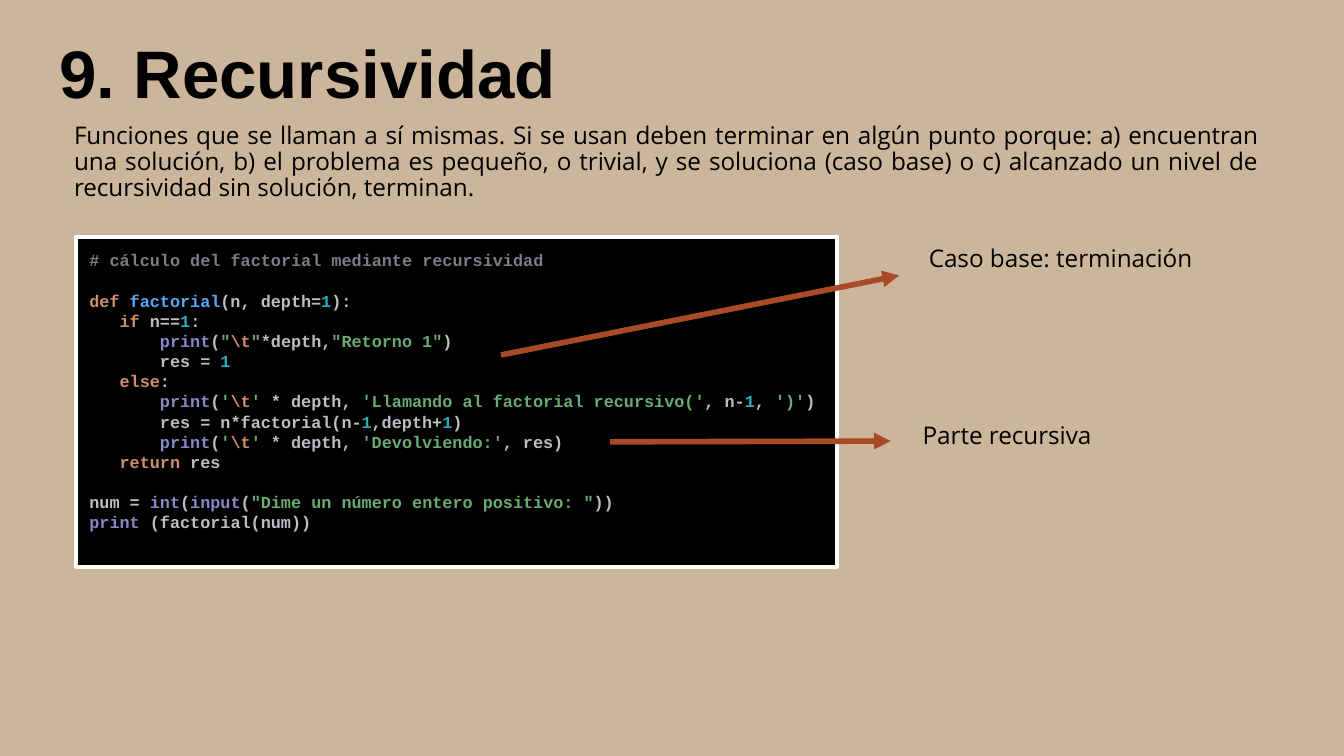
from lxml import etree
from pptx import Presentation
from pptx.dml.color import RGBColor
from pptx.enum.shapes import MSO_CONNECTOR, MSO_SHAPE
from pptx.enum.text import MSO_ANCHOR, MSO_AUTO_SIZE, PP_ALIGN
from pptx.oxml.ns import qn
from pptx.util import Pt

LEFT, JUSTIFY = PP_ALIGN.LEFT, PP_ALIGN.JUSTIFY
TOP, MIDDLE, BOTTOM = MSO_ANCHOR.TOP, MSO_ANCHOR.MIDDLE, MSO_ANCHOR.BOTTOM
NO_AUTOFIT = MSO_AUTO_SIZE.NONE
RECTANGLE = MSO_SHAPE.RECTANGLE
STRAIGHT = MSO_CONNECTOR.STRAIGHT

BLACK, WHITE = "000000", "FFFFFF"
BACKGROUND, ARROW = "CCB69B", "AA4926"
INSET = 7.2
CODE_LINE = 10.8

# Syntax colours
COMMENT, PLAIN, KEYWORD = "7A7E85", "BCBEC4", "CF8E6D"
FUNCTION, BUILTIN, NUMBER, STRING = "56A8F5", "8888C6", "2AACB8", "6AAB73"

PRINT_TABBED = [("       ", PLAIN), ("print", BUILTIN), ("(", PLAIN), ("'", STRING),
                ("\\t", KEYWORD), ("' ", STRING), ("* depth, ", PLAIN)]

# Groups of code lines; a line's height separates the groups
CODE = [
    [
        [("# cálculo del factorial mediante recursividad", COMMENT)],
    ],
    [
        [("def ", KEYWORD), ("factorial", FUNCTION), ("(n, depth=", PLAIN),
         ("1", NUMBER), ("):", PLAIN)],
        [("   ", PLAIN), ("if ", KEYWORD), ("n==", PLAIN), ("1", NUMBER), (":", PLAIN)],
        [("       ", PLAIN), ("print", BUILTIN), ("(", PLAIN), ('"', STRING),
         ("\\t", KEYWORD), ('"', STRING), ("*depth,", PLAIN),
         ('"Retorno 1"', STRING), (")", PLAIN)],
        [("       res = ", PLAIN), ("1", NUMBER)],
        [("   ", PLAIN), ("else", KEYWORD), (":", PLAIN)],
        PRINT_TABBED + [("'Llamando al factorial recursivo('", STRING), (", n-", PLAIN),
                        ("1", NUMBER), (", ", PLAIN), ("')'", STRING), (")", PLAIN)],
        [("       res = n*factorial(n-", PLAIN), ("1", NUMBER), (",depth+", PLAIN),
         ("1", NUMBER), (")", PLAIN)],
        PRINT_TABBED + [("'Devolviendo:'", STRING), (", res)", PLAIN)],
        [("   ", PLAIN), ("return ", KEYWORD), ("res", PLAIN)],
    ],
    [
        [("num = ", PLAIN), ("int", BUILTIN), ("(", PLAIN), ("input", BUILTIN),
         ("(", PLAIN), ('"Dime un número entero positivo: "', STRING), ("))", PLAIN)],
        [("print ", BUILTIN), ("(factorial(num))", PLAIN)],
    ],
]

DEFINITION = (
    "Funciones que se llaman a sí mismas. Si se usan deben terminar en algún punto "
    "porque: a) encuentran una solución, b) el problema es pequeño, o trivial, y se "
    "soluciona (caso base) o c) alcanzado un nivel de recursividad sin solución, terminan."
)


def color(value):
    return RGBColor.from_string(value)


def set_frame(shape, anchor, top=INSET, bottom=INSET):
    frame = shape.text_frame
    frame.word_wrap = True
    frame.auto_size = NO_AUTOFIT
    frame.vertical_anchor = anchor
    frame.margin_left = frame.margin_right = Pt(INSET)
    frame.margin_top, frame.margin_bottom = Pt(top), Pt(bottom)
    return frame


def write(paragraph, text, font, size, fill=BLACK, bold=False, align=LEFT, spacing=1.0):
    paragraph.alignment = align
    paragraph.line_spacing = spacing
    run = paragraph.add_run()
    run.text = text
    run.font.name = font
    run.font.size = Pt(size)
    run.font.bold = bold
    run.font.color.rgb = color(fill)


def add_title(slide, box, text):
    title = slide.shapes.title
    title.left, title.top, title.width, title.height = map(Pt, box)
    frame = set_frame(title, BOTTOM)
    write(frame.paragraphs[0], text, "Arial", 36, bold=True)


def add_note(slide, box, text):
    shape = slide.shapes.add_textbox(*map(Pt, box))
    # The deeper bottom margin lifts the text by half a line
    frame = set_frame(shape, MIDDLE, top=0, bottom=16)
    write(frame.paragraphs[0], text, "Open Sans", 13, align=JUSTIFY, spacing=0.9)


def add_code_panel(slide, box, groups):
    panel = slide.shapes.add_shape(RECTANGLE, *map(Pt, box))
    panel.shadow.inherit = False
    panel.fill.solid()
    panel.fill.fore_color.rgb = color(BLACK)
    panel.line.color.rgb = color(WHITE)
    panel.line.width = Pt(2.25)
    frame = set_frame(panel, TOP)
    for group_index, group in enumerate(groups):
        for line_index, tokens in enumerate(group):
            first = group_index == line_index == 0
            paragraph = frame.paragraphs[0] if first else frame.add_paragraph()
            if group_index and line_index == 0:
                paragraph.space_before = Pt(CODE_LINE)
            for text, fill in tokens:
                write(paragraph, text, "Courier New", 9, fill=fill, bold=True,
                      spacing=Pt(CODE_LINE))


def add_arrow(slide, start, end):
    arrow = slide.shapes.add_connector(STRAIGHT, *map(Pt, start + end))
    arrow.line.color.rgb = color(ARROW)
    arrow.line.width = Pt(3)
    etree.SubElement(arrow.line._get_or_add_ln(), qn("a:tailEnd"), type="triangle")
    etree.SubElement(arrow._element.spPr, qn("a:effectLst"))


def add_callout(slide, box, text, start, end):
    add_arrow(slide, start, end)
    add_note(slide, box, text)


def main():
    presentation = Presentation()
    presentation.slide_width, presentation.slide_height = Pt(720), Pt(405)
    slide = presentation.slides.add_slide(presentation.slide_layouts[5])
    slide.background.fill.solid()
    slide.background.fill.fore_color.rgb = color(BACKGROUND)

    # Heading and definition
    add_title(slide, (24.5, 25.2, 671, 41.8), "9. Recursividad")
    add_note(slide, (32.6, 59.8, 648, 70.6), DEFINITION)

    # Code with its two callouts
    add_code_panel(slide, (40.8, 126.8, 407.6, 177), CODE)
    add_callout(slide, (490.5, 136.8, 175, 20.2), "Caso base: terminación",
                (268.4, 190.2), (481.7, 147.6))
    add_callout(slide, (487.2, 226.8, 175, 30.2), "Parte recursiva",
                (326.8, 236.7), (477.2, 236.3))

    presentation.save("out.pptx")


if __name__ == "__main__":
    main()
